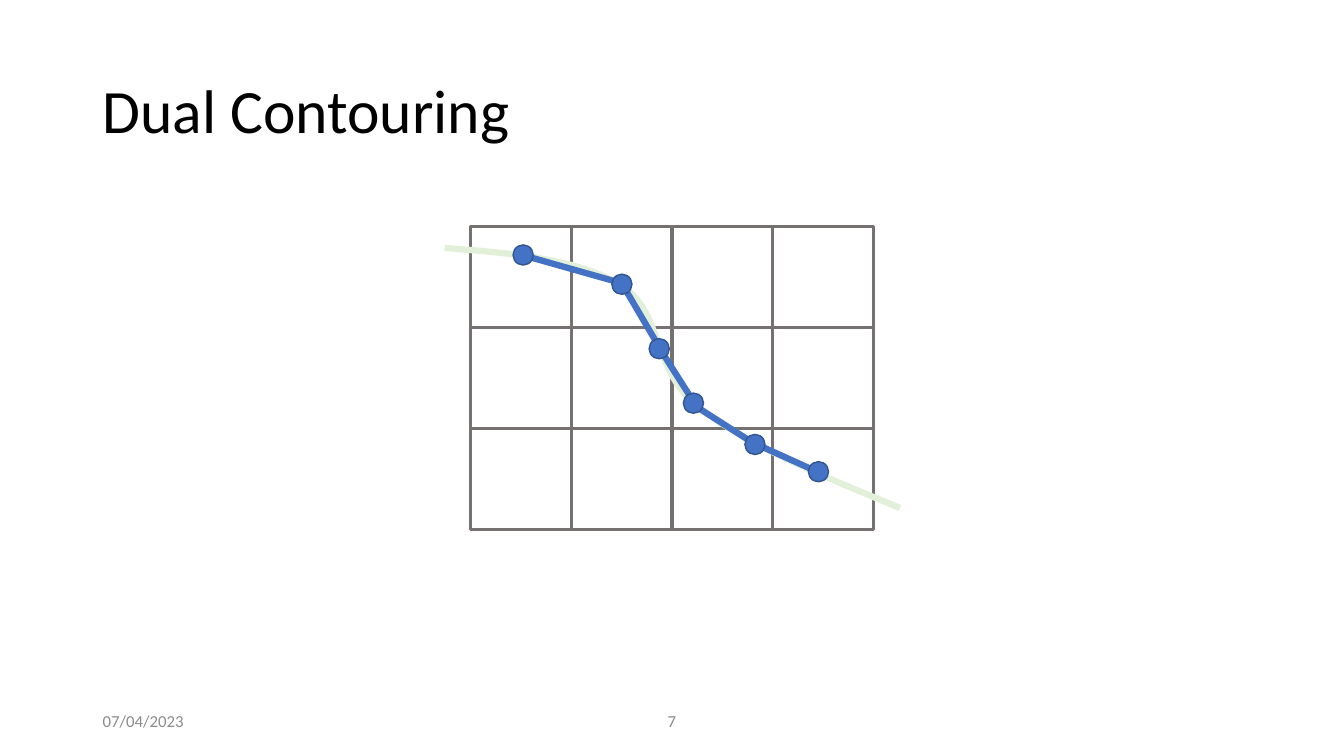
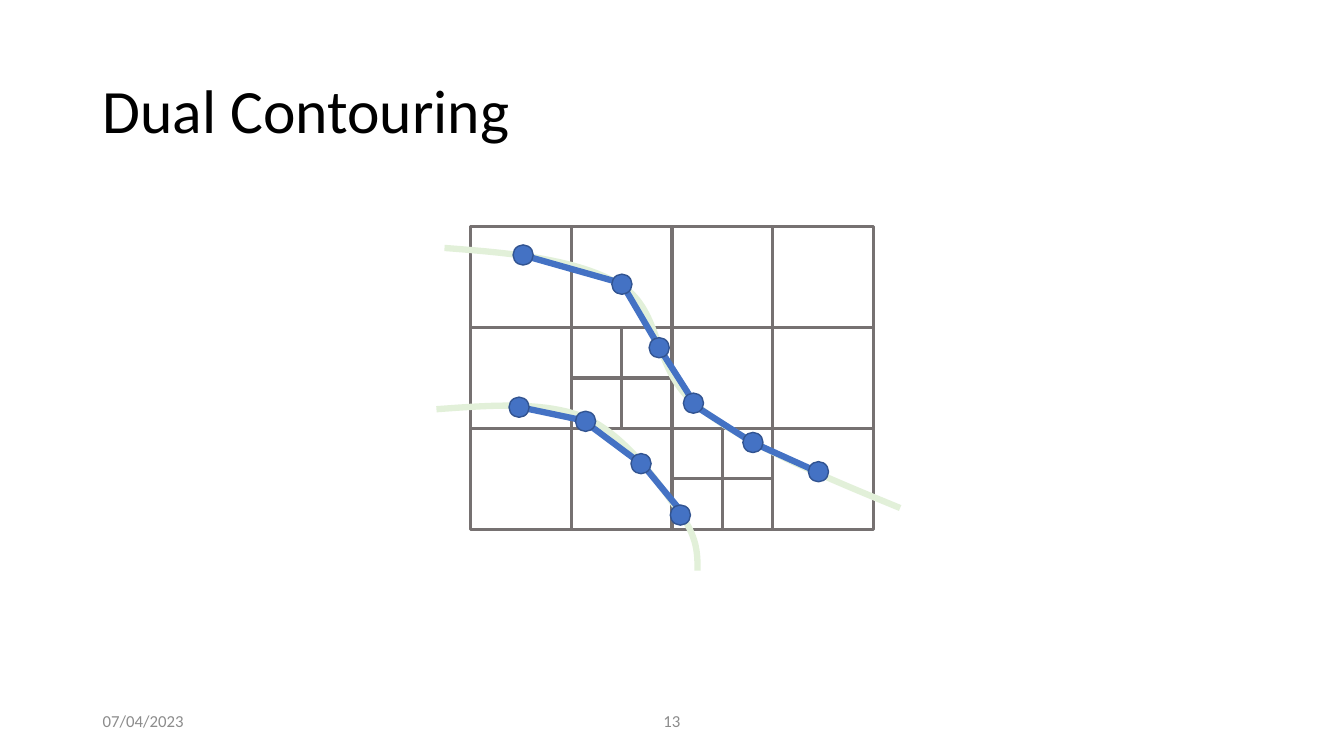
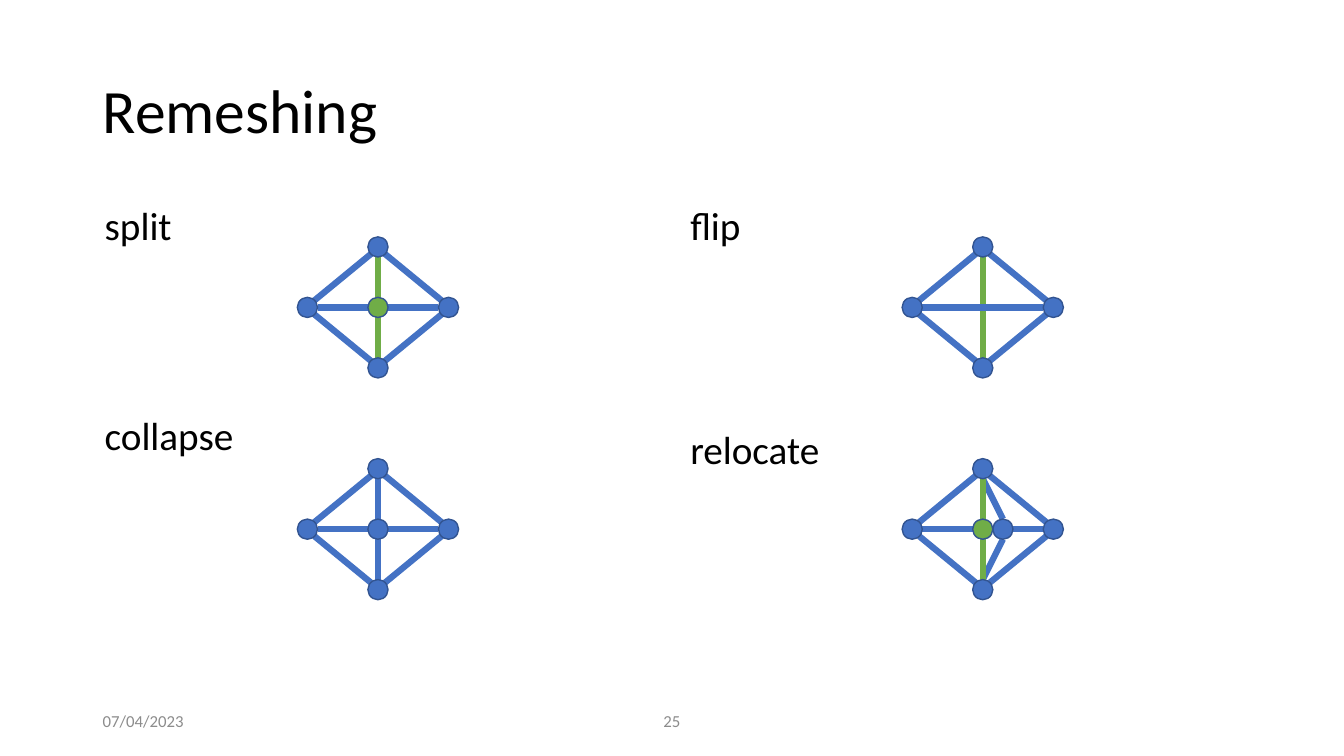
from dataclasses import dataclass
from itertools import product

from lxml.etree import SubElement
from pptx import Presentation
from pptx.dml.color import RGBColor
from pptx.enum.shapes import MSO_CONNECTOR, MSO_SHAPE
from pptx.enum.text import MSO_ANCHOR, PP_ALIGN
from pptx.oxml.ns import qn
from pptx.slide import Slide
from pptx.util import Emu, Pt

BLACK = RGBColor(0x00, 0x00, 0x00)
WHITE = RGBColor(0xFF, 0xFF, 0xFF)
GRAY = RGBColor(0x8C, 0x8C, 0x8C)
GRID = RGBColor(0x76, 0x71, 0x71)
BLUE = RGBColor(0x44, 0x72, 0xC4)
NAVY = RGBColor(0x32, 0x54, 0x91)
GREEN = RGBColor(0x70, 0xAD, 0x47)
PALE = RGBColor(0xE2, 0xF0, 0xD9)

FONT = "Calibri"
DATE = "07/04/2023"
SCALE = 9144
WIDE, HIGH = 4000 / 3, 750
CELL = 100
DOT = 20
COLS, ROWS = 4, 3
LEFT = (WIDE - COLS * CELL) / 2
TOP = (HIGH - ROWS * CELL) / 2

Point = tuple[float, float]
Box = tuple[float, float, float, float]


@dataclass(frozen=True)
class Edge:
    start: Point
    end: Point
    color: RGBColor = BLUE
    width: float = 4.5


@dataclass(frozen=True)
class Node:
    at: Point
    color: RGBColor = BLUE


@dataclass(frozen=True)
class Label:
    lines: tuple[str, ...]
    box: Box
    size: int
    color: RGBColor = BLACK
    align: PP_ALIGN = PP_ALIGN.LEFT
    anchor: MSO_ANCHOR = MSO_ANCHOR.MIDDLE
    space: float = 1.0
    gap: int = 0


@dataclass(frozen=True)
class Mesh:
    center: Point
    edges: tuple[Edge, ...]
    nodes: tuple[Node, ...] = ()


UPPER = [(441, 246), (507, 251), (574, 257), (616, 283), (658, 309),
         (646, 366), (692, 403), (738, 440), (815, 472), (893, 504)]
LOWER = [(433, 406), (487, 402), (540, 398), (580, 414), (620, 431),
         (655, 481), (673, 507), (692, 532), (692, 549), (692, 566)]

CHAIN = [Edge((518, 253), (617, 281)), Edge((618, 283), (655, 346)),
         Edge((751, 441), (813, 469)), Edge((654, 345), (689, 400)),
         Edge((687, 401), (748, 440))]
BRANCH = [Edge((516, 404), (583, 418)), Edge((581, 419), (636, 460)),
          Edge((636, 459), (678, 510))]
SHARED = [(519, 253), (617, 282), (688, 400), (812, 468)]
FIRST = [*SHARED, (654, 346), (749, 441)]
SECOND = [*SHARED, (654, 345), (747, 439),
          (515, 404), (675, 511), (636, 460), (581, 418)]
PARTED = [(1, 1), (2, 2)]

ACROSS = Edge((-60, 0), (60, 0))
DOWN = Edge((0, -50), (0, 50))
GREEN_DOWN = Edge((0, -50), (0, 50), GREEN)

MESHES = [
    Mesh((375, 305), (GREEN_DOWN, ACROSS), (Node((0, 0), GREEN),)),
    Mesh((375, 525), (Edge((-60, 0), (60, 0), GREEN), ACROSS, DOWN),
         (Node((0, 0)),)),
    Mesh((975, 305), (GREEN_DOWN, ACROSS)),
    Mesh((975, 525),
         (Edge((-60, 0), (-10, 0), GREEN), Edge((10, 0), (60, 0), GREEN),
          Edge((0, -50), (20, -10)), Edge((-60, 0), (10, 0)),
          Edge((0, 50), (20, 10)), Edge((30, 0), (60, 0)),
          Edge((0, 50), (0, 10), GREEN), Edge((0, -10), (0, -50), GREEN)),
         (Node((20, 0)), Node((0, 0), GREEN))),
]


def px(size: float) -> Emu:
    return Emu(round(size * SCALE))


def shift(point: Point, by: Point) -> Point:
    return point[0] + by[0], point[1] + by[1]


def add_label(slide: Slide, label: Label) -> None:
    frame = slide.shapes.add_textbox(*map(px, label.box)).text_frame
    frame.word_wrap = True
    frame.vertical_anchor = label.anchor
    for i, line in enumerate(label.lines):
        para = frame.add_paragraph() if i else frame.paragraphs[0]
        para.alignment = label.align
        para.line_spacing = label.space
        if i:
            para.space_before = Pt(label.gap)
        run = para.add_run()
        run.text = line
        run.font.name = FONT
        run.font.size = Pt(label.size)
        run.font.color.rgb = label.color


def add_edge(slide: Slide, edge: Edge, origin: Point = (0, 0)) -> None:
    ends = (*shift(edge.start, origin), *shift(edge.end, origin))
    line = slide.shapes.add_connector(MSO_CONNECTOR.STRAIGHT, *map(px, ends))
    line.line.color.rgb = edge.color
    line.line.width = Pt(edge.width)
    SubElement(line._element.spPr, qn("a:effectLst"))


def add_solid(slide: Slide, kind: MSO_SHAPE, box: Box,
              fill: RGBColor, color: RGBColor, width: float) -> None:
    shape = slide.shapes.add_shape(kind, *map(px, box))
    shape.shadow.inherit = False
    shape.fill.solid()
    shape.fill.fore_color.rgb = fill
    shape.line.color.rgb = color
    shape.line.width = Pt(width)


def add_node(slide: Slide, node: Node, origin: Point = (0, 0)) -> None:
    x, y = shift(node.at, origin)
    box = (x - DOT // 2, y - DOT // 2, DOT, DOT)
    add_solid(slide, MSO_SHAPE.OVAL, box, node.color, NAVY, 1)


def add_curve(slide: Slide, knots: list[Point]) -> None:
    start, *rest = [(px(x), px(y)) for x, y in knots]
    pen = slide.shapes.build_freeform(*start)
    pen.add_line_segments(rest, close=False)
    curve = pen.convert_to_shape()
    curve.shadow.inherit = False
    curve.fill.background()
    curve.line.color.rgb = PALE
    curve.line.width = Pt(4.5)
    lines = list(curve._element.iter(qn("a:lnTo")))
    track = lines[0].getparent()
    for i in range(0, len(lines), 3):
        bend = SubElement(track, qn("a:cubicBezTo"))
        for line in lines[i:i + 3]:
            bend.append(line[0])
            track.remove(line)


def add_grid(slide: Slide) -> None:
    for row, col in product(range(ROWS), range(COLS)):
        box = (LEFT + col * CELL, TOP + row * CELL, CELL, CELL)
        add_solid(slide, MSO_SHAPE.RECTANGLE, box, WHITE, GRID, 2.25)


def part_cell(slide: Slide, col: int, row: int) -> None:
    origin = (LEFT + col * CELL, TOP + row * CELL)
    half = CELL // 2
    add_edge(slide, Edge((half, 0), (half, CELL), GRID, 2.25), origin)
    add_edge(slide, Edge((0, half), (CELL, half), GRID, 2.25), origin)


def add_mesh(slide: Slide, mesh: Mesh) -> None:
    sides = [Edge((63 * h, 7 * v), (7 * h, 53 * v))
             for h, v in product((-1, 1), repeat=2)]
    tips = [Node(at) for at in ((-70, 0), (0, -60), (0, 60), (70, 0))]
    for edge in (*mesh.edges, *sides):
        add_edge(slide, edge, mesh.center)
    for node in (*tips, *mesh.nodes):
        add_node(slide, node, mesh.center)


def add_slide(deck: Presentation, title: str, number: int) -> Slide:
    slide = deck.slides.add_slide(deck.slide_layouts[6])
    add_label(slide, Label((title,), (92, 40, 1150, 145), 44, space=0.9))
    add_label(slide, Label((DATE,), (92, 695, 300, 40), 12, GRAY))
    add_label(slide, Label((str(number),), ((WIDE - 450) / 2, 695, 450, 40),
                           12, GRAY, PP_ALIGN.CENTER))
    return slide


def add_contour(deck: Presentation, number: int, parted: list[Point],
                curves: list[list[Point]], edges: list[Edge],
                dots: list[Point]) -> None:
    slide = add_slide(deck, "Dual Contouring", number)
    add_grid(slide)
    for col, row in parted:
        part_cell(slide, col, row)
    for knots in curves:
        add_curve(slide, knots)
    for edge in edges:
        add_edge(slide, edge)
    for dot in dots:
        add_node(slide, Node(dot))


def add_column(slide: Slide, left: int, gap: int, *names: str) -> None:
    add_label(slide, Label(names, (left, 200, 567, 476), 28,
                           anchor=MSO_ANCHOR.TOP, space=0.9, gap=gap))


def main() -> None:
    deck = Presentation()
    deck.slide_width, deck.slide_height = px(WIDE), px(HIGH)
    add_contour(deck, 7, [], [UPPER], CHAIN, FIRST)
    add_contour(deck, 13, PARTED, [LOWER, UPPER], CHAIN + BRANCH, SECOND)
    slide = add_slide(deck, "Remeshing", 25)
    add_column(slide, 94, 120, "split", "collapse")
    add_column(slide, 675, 130, "flip", "relocate")
    for mesh in MESHES:
        add_mesh(slide, mesh)
    deck.save("out.pptx")


if __name__ == "__main__":
    main()
